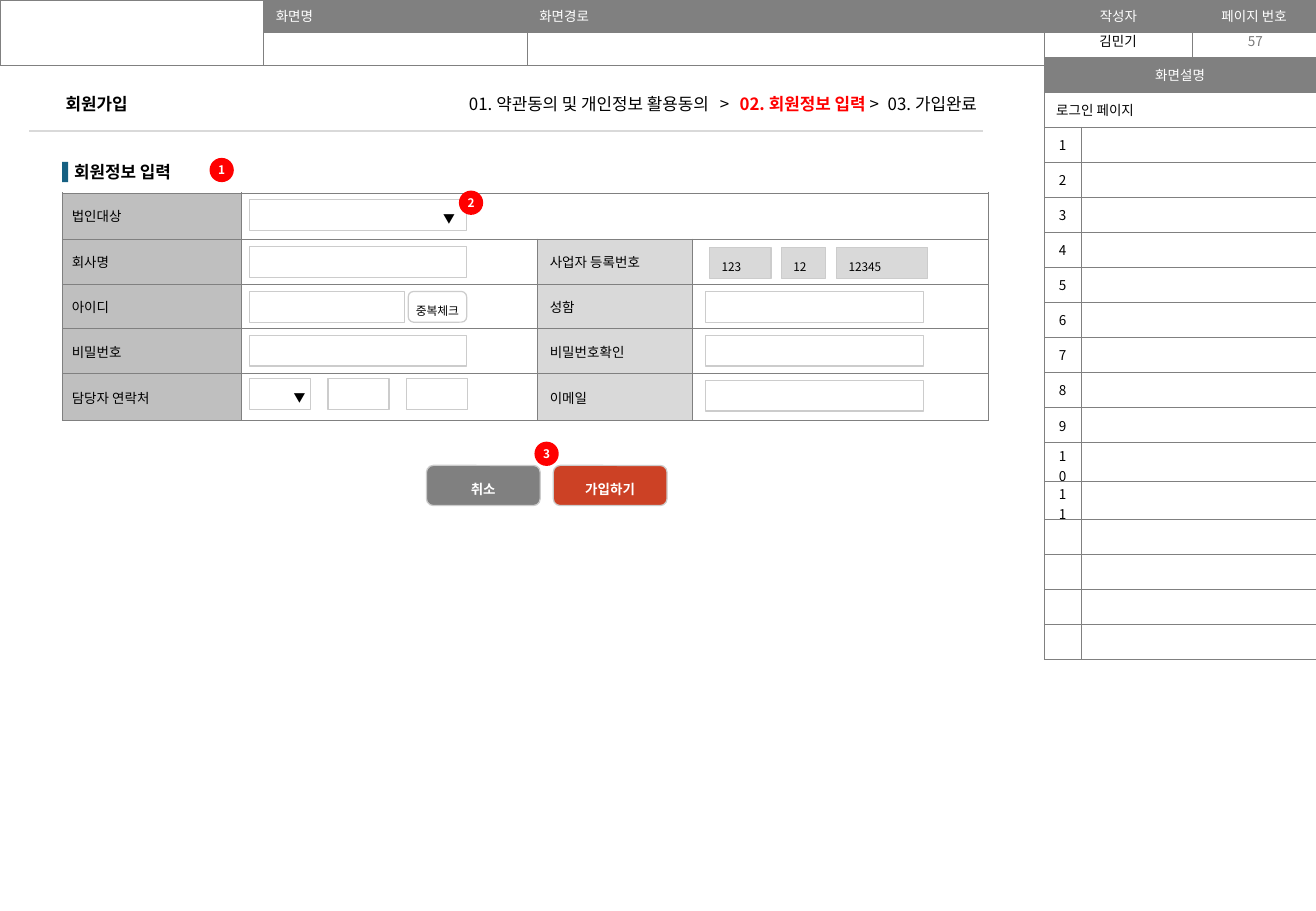
from lxml import etree
from pptx import Presentation
from pptx import util as u
from pptx.dml import color
from pptx.enum import shapes, text
from pptx.oxml import ns

FONT = "Noto Sans CJK KR"
GRAY, PALE, EDGE, RED = "808080", "D9D9D9", "CCCCCC", "FF0000"
WHITE, BLACK = "FFFFFF", "000000"
LEFT, MID, RIGHT = text.PP_ALIGN.LEFT, text.PP_ALIGN.CENTER, text.PP_ALIGN.RIGHT
CENTER = text.MSO_ANCHOR.MIDDLE
TOP = text.MSO_ANCHOR.TOP


def rgb(code):
    return color.RGBColor.from_string(code)


def pts(*vals):
    return [u.Pt(v) for v in vals]


def style(run, size, ink, bold=False):
    run.font.size = u.Pt(size)
    run.font.bold = bold
    run.font.color.rgb = rgb(ink)
    run.font.name = FONT
    etree.SubElement(run._r.get_or_add_rPr(), ns.qn("a:ea"), typeface=FONT)


def write(frame, words, size=8, ink=BLACK, bold=False, align=LEFT, space=None):
    frame.text = words
    para = frame.paragraphs[0]
    para.alignment = align
    para.line_spacing = space
    for run in para.runs:
        style(run, size, ink, bold)


def inset(frame, side, edge):
    frame.margin_left = frame.margin_right = u.Pt(side)
    frame.margin_top = frame.margin_bottom = u.Pt(edge)
    frame.vertical_anchor = CENTER


def label(slide, box, words, align=MID, anchor=CENTER, **look):
    frame = slide.shapes.add_textbox(*pts(*box)).text_frame
    frame.word_wrap = True
    frame.vertical_anchor = anchor
    write(frame, words, align=align, **look)
    return frame


def block(slide, box, fill=WHITE, line=EDGE, curve=0, words="", side=7.2,
          edge=7.2, space=1.5, **look):
    shape = slide.shapes.add_shape(shapes.MSO_SHAPE.ROUNDED_RECTANGLE, *pts(*box))
    shape.shadow.inherit = False
    shape.adjustments[0] = curve
    shape.fill.solid()
    shape.fill.fore_color.rgb = rgb(fill)
    if line:
        shape.line.color.rgb = rgb(line)
        shape.line.width = u.Pt(0.75)
    else:
        shape.line.fill.background()
    if words:
        inset(shape.text_frame, side, edge)
        write(shape.text_frame, words, space=space, **look)


def border(cell, sides="LRTB"):
    props = cell._tc.get_or_add_tcPr()
    for side in "LRTB":
        line = etree.SubElement(props, ns.qn("a:ln" + side), w="3175")
        if side in sides:
            fill = etree.SubElement(line, ns.qn("a:solidFill"))
            etree.SubElement(fill, ns.qn("a:srgbClr"), val=GRAY)
        else:
            etree.SubElement(line, ns.qn("a:noFill"))


def grid(slide, x, y, cols, rows):
    box = pts(x, y, sum(cols), sum(rows))
    table = slide.shapes.add_table(len(rows), len(cols), *box).table
    table.first_row = table.horz_banding = False
    for col, width in zip(table.columns, cols):
        col.width = u.Pt(width)
    for row, height in zip(table.rows, rows):
        row.height = u.Pt(height)
    return table


def put(cell, words="", fill=None, sides="LRTB", anchor=CENTER, **look):
    border(cell, sides)
    if fill:
        cell.fill.solid()
        cell.fill.fore_color.rgb = rgb(fill)
    else:
        cell.fill.background()
    cell.vertical_anchor = anchor
    write(cell.text_frame, words, **look)
    if not words:
        cell.text_frame.paragraphs[0]._p.get_or_add_endParaRPr().set("sz", "800")


def header(slide, x, y):
    cols = [156.3, 156.2, 306.6, 87.8, 73.1]
    table = grid(slide, x, y, cols, [19.2, 19.2])
    table.cell(0, 0).merge(table.cell(1, 0))
    names = ["", "화면명", "화면경로", "작성자", "페이지 번호"]
    for i, name in enumerate(names):
        put(table.cell(0, i), name, GRAY if name else None, anchor=TOP,
            ink=WHITE, align=MID if i > 2 else LEFT)
        put(table.cell(1, i))
    label(slide, (x + 618.5, y + 15.8, 88.6, 17.3), "김민기", anchor=TOP)
    label(slide, (x + 707.8, y + 15.8, 72.7, 17.3), "57", ink="797979")


def notes(slide, x, y):
    table = grid(slide, x, y, [22.2, 139.2], [20.8] * 17)
    for r in range(17):
        for c in range(2):
            cell = table.cell(r, c)
            cell.margin_top = cell.margin_bottom = u.Pt(1.8)
            if r == 0:
                put(cell, "" if c else "화면설명", GRAY, ink=WHITE, align=MID)
            elif r == 1:
                put(cell, "" if c else "로그인 페이지")
            else:
                put(cell, str(r - 1) if c == 0 and r < 13 else "", align=MID)
    for r in range(2):
        table.cell(r, 0).merge(table.cell(r, 1))


def steps(slide, x, y, w):
    title = slide.shapes.title
    title.left, title.top, title.width, title.height = pts(x + 14.4, y, 92.9, 21.6)
    inset(title.text_frame, 7.2, 7.2)
    write(title.text_frame, "회원가입", 10, bold=True)
    frame = label(slide, (x + 197.3, y, 371.5, 21.6), "", align=RIGHT)
    inset(frame, 7.2, 7.2)
    trail = [("01.약관동의 및 개인정보 활용동의", BLACK, 0), (" > ", BLACK, 200),
             ("02.회원정보 입력", RED, 0), ("> ", BLACK, 150),
             ("03.가입완료", BLACK, 0)]
    for words, ink, gap in trail:
        run = frame.paragraphs[0].add_run()
        run.text = words
        style(run, 10, ink, ink == RED)
        if gap:
            run._r.get_or_add_rPr().set("spc", str(gap))
    rule = slide.shapes.add_connector(
        shapes.MSO_CONNECTOR.STRAIGHT, *pts(x, y + 26.7, x + w, y + 26.7))
    rule.line.color.rgb = rgb(PALE)
    rule.line.width = u.Pt(0.75)
    etree.SubElement(rule._element.spPr, ns.qn("a:effectLst"))


def form(slide, x, y):
    table = grid(slide, x, y, [106.4, 175.5, 91.8, 175.5],
                 [25.6, 27.3, 27.2, 26.1, 26.7, 27.9])
    put(table.cell(0, 0), "회원정보 입력", sides="B", size=10, bold=True)
    for c in range(1, 4):
        put(table.cell(0, c), sides="B")
    names = [("법인대상", ""), ("회사명", "사업자 등록번호"), ("아이디", "성함"),
             ("비밀번호", "비밀번호확인"), ("담당자 연락처", "이메일")]
    for r, (first, second) in enumerate(names, 1):
        table.cell(r, 0).margin_left = u.Pt(5.8)
        put(table.cell(r, 0), first, "BFBFBF")
        put(table.cell(r, 1))
        put(table.cell(r, 2), second, PALE if second else None)
        put(table.cell(r, 3))
    table.cell(0, 0).merge(table.cell(0, 3))
    table.cell(1, 1).merge(table.cell(1, 3))
    block(slide, (x, y + 7.4, 3.6, 12), "156082", None)
    fields(slide, x, y)


def fields(slide, x, y):
    tops = [y + d for d in (29.8, 57.5, 84.2, 110.2, 136)]
    near, far, wide, tall = x + 110.9, x + 381.4, 129, 18.2
    block(slide, (near, tops[0], wide, tall), words="▼", size=7, align=RIGHT)
    for left, top in [(near, tops[1]), (near, tops[3]), (far, tops[2]),
                      (far, tops[3]), (far, tops[4] + 0.9)]:
        block(slide, (left, top, wide, tall))
    for left, width, words in [(2.4, 36.4, "123"), (45, 26.3, "12"), (77.7, 54, "12345")]:
        block(slide, (far + left, tops[1] + 0.6, width, tall), PALE, words=words, size=7)
    block(slide, (near, tops[2], 92.2, tall))
    block(slide, (near + 94.3, tops[2], 34.6, tall), curve=0.17, words="중복체크",
          size=7, side=0, align=MID)
    for i in range(3):
        block(slide, (near + 46.7 * i, tops[4], 36.2, tall),
              words="" if i else "▼", size=7, side=2.9, align=RIGHT)


def submit(slide, x, y):
    for i, (words, fill) in enumerate([("취소", GRAY), ("가입하기", "CC4125")]):
        block(slide, (x + 75.2 * i, y, 67.4, 23.8), fill, curve=0.17, words=words,
              ink=WHITE, bold=True, align=MID)


def badge(slide, x, y, words):
    block(slide, (x, y, 14.4, 14.4), RED, None, 0.5, words, 0, 0, None,
          size=7, ink=WHITE, bold=True, align=MID)


def main():
    deck = Presentation()
    deck.slide_width, deck.slide_height = pts(780, 540)
    slide = deck.slides.add_slide(deck.slide_layouts[5])
    header(slide, 0, 0)
    notes(slide, 618.8, 33.8)
    steps(slide, 17.3, 51, 565.2)
    form(slide, 36.8, 88.6)
    submit(slide, 252.8, 275.9)
    for i, (x, y) in enumerate([(124.2, 93.6), (272, 113), (316.8, 261.8)], 1):
        badge(slide, x, y, str(i))
    deck.save("out.pptx")


if __name__ == "__main__":
    main()
